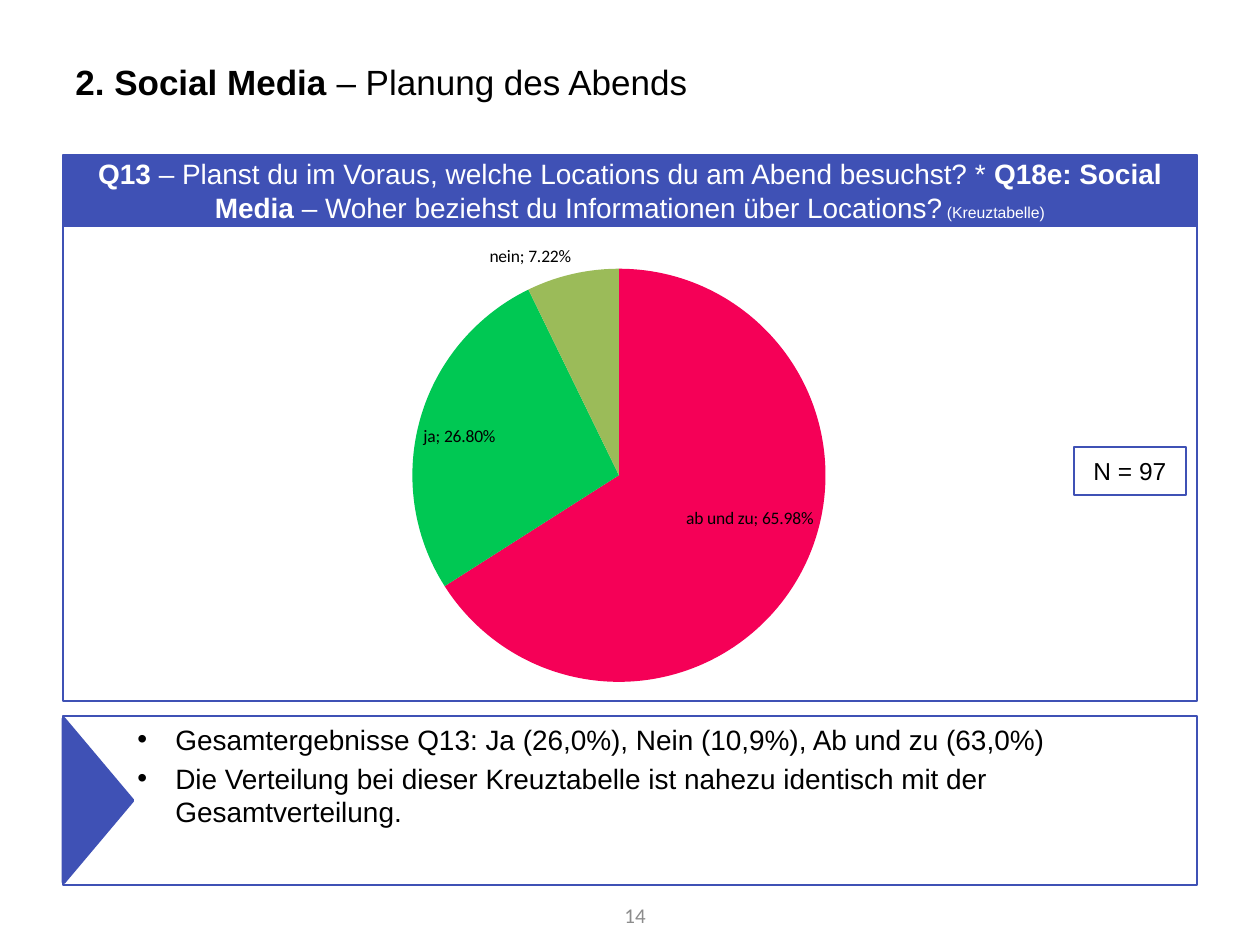
from lxml.etree import SubElement
from pptx import Presentation
from pptx.chart.data import CategoryChartData
from pptx.dml.color import RGBColor
from pptx.enum.chart import XL_CHART_TYPE, XL_LABEL_POSITION
from pptx.enum.shapes import MSO_SHAPE
from pptx.enum.text import MSO_ANCHOR, PP_ALIGN
from pptx.oxml.ns import qn
from pptx.util import Pt

PX = 914400 / 126


def px(n):
    return round(n * PX)


def rgb(value):
    return RGBColor.from_string(value)


class Deck:
    """Holds the style and the current slide."""
    ACCENT, BLACK, WHITE, GREY = "3F51B5", "000000", "FFFFFF", "8C8C8C"
    FONT, SMALL_FONT = "Arial", "Calibri"

    def __init__(self):
        self.prs = Presentation()
        self.prs.slide_width, self.prs.slide_height = px(1260), px(945)
        self.s = self.prs.slides.add_slide(self.prs.slide_layouts[6])

    def shape(self, kind, box, fill=None, line_width=1):
        sp = self.s.shapes.add_shape(kind, *map(px, box))
        sp.shadow.inherit = False
        if fill:
            sp.fill.solid()
            sp.fill.fore_color.rgb = rgb(fill)
        else:
            sp.fill.background()
        sp.line.color.rgb = rgb(self.ACCENT)
        sp.line.width = Pt(line_width)
        return sp

    def text(self, sp, paragraphs, size, color=BLACK, font=FONT,
             align=PP_ALIGN.LEFT, anchor=MSO_ANCHOR.MIDDLE, bullets=False):
        """Each paragraph is a list of runs: (text, bold) or (text, bold, size)."""
        tf = sp.text_frame
        tf.word_wrap = True
        tf.vertical_anchor = anchor
        for i, runs in enumerate(paragraphs):
            p = tf.add_paragraph() if i else tf.paragraphs[0]
            p.alignment = align
            if bullets:
                self.bullet(p, size)
            for words, bold, *own_size in runs:
                r = p.add_run()
                r.text = words
                r.font.name, r.font.bold = font, bold
                r.font.size = Pt(own_size[0] if own_size else size)
                r.font.color.rgb = rgb(color)

    def bullet(self, p, size):
        p.space_before = Pt(size * 0.2)
        pPr = p._p.get_or_add_pPr()
        pPr.set("marL", str(px(100)))
        pPr.set("indent", str(px(-38)))
        SubElement(pPr, qn("a:buFont")).set("typeface", self.FONT)
        SubElement(pPr, qn("a:buChar")).set("char", "•")

    def textbox(self, box, *args, **style):
        self.text(self.s.shapes.add_textbox(*map(px, box)), *args, **style)

    def pie(self, box, values, colors, plot):
        """Draws a pie; plot is x, y, w, h as fractions of the chart."""
        data = CategoryChartData(number_format="0.00%")
        data.categories = list(values)
        data.add_series("Series 1", list(values.values()))
        chart = self.s.shapes.add_chart(XL_CHART_TYPE.PIE, *map(px, box), data).chart
        chart.has_legend = chart.has_title = False
        chart.font.name, chart.font.size = self.SMALL_FONT, Pt(10)
        chart.font.color.rgb = rgb(self.BLACK)
        pie = chart.plots[0]
        pie.vary_by_categories = True
        for i, color in enumerate(colors):
            fill = pie.series[0].points[i].format.fill
            fill.solid()
            fill.fore_color.rgb = rgb(color)
        pie.has_data_labels = True
        labels = pie.data_labels
        labels.show_value = labels.show_category_name = True
        labels.show_percentage = False
        labels.number_format, labels.number_format_is_linked = "0.00%", False
        labels.position = XL_LABEL_POSITION.BEST_FIT
        self.separate(labels, "; ")
        self.place_plot(chart, plot)

    def separate(self, labels, mark):
        tag = qn("c:separator")
        el = labels._element
        sep = SubElement(el, tag)
        sep.text = mark
        el.find(qn("c:showBubbleSize")).addnext(sep)

    def place_plot(self, chart, plot):
        area = chart._chartSpace.chart.plotArea
        layout = area.find(qn("c:layout"))
        if layout is None:
            layout = SubElement(area, qn("c:layout"))
            area.insert(0, layout)
        manual = SubElement(layout, qn("c:manualLayout"))
        settings = [("layoutTarget", "inner"), ("xMode", "edge"), ("yMode", "edge")]
        for name, value in settings + list(zip("xywh", plot)):
            SubElement(manual, qn("c:" + name)).set("val", str(value))


def main():
    d = Deck()
    rect, center = MSO_SHAPE.RECTANGLE, PP_ALIGN.CENTER
    left, width = 63, 1134

    d.textbox((left, 38, width, 87),
              [[("2. Social Media ", True), ("– Planung des Abends", False)]], 20)

    findings = d.shape(rect, (left, 716, width, 169))
    d.text(findings, [
        [("Gesamtergebnisse Q13: Ja (26,0%), Nein (10,9%), Ab und zu (63,0%)", False)],
        [("Die Verteilung bei dieser Kreuztabelle ist nahezu identisch mit der "
          "Gesamtverteilung.", False)],
    ], 16, anchor=MSO_ANCHOR.TOP, bullets=True)
    pointer = d.shape(MSO_SHAPE.ISOSCELES_TRIANGLE, (16, 766, 164, 69), d.ACCENT, 2)
    pointer.rotation = 90

    d.shape(rect, (left, 155, width, 546))
    question = d.shape(rect, (left + 1, 156, width - 2, 69), d.ACCENT, 2)
    d.text(question, [[
        ("Q13 ", True),
        ("– Planst du im Voraus, welche Locations du am Abend besuchst? * ", False),
        ("Q18e: Social Media", True),
        (" – Woher beziehst du Informationen über Locations?", False),
        (" (Kreuztabelle)", False, 9),
    ]], 16, d.WHITE, align=center)

    sample = d.shape(rect, (1074, 447, 112, 48))
    d.text(sample, [[("N = 97", False)]], 14, align=center)
    d.textbox((578, 890, 80, 50), [[("14", False)]], 12, d.GREY, d.SMALL_FONT,
              align=PP_ALIGN.RIGHT)

    d.pie((164, 226, 910, 475),
          {"ab und zu": 0.6598, "ja": 0.268, "nein": 0.0722},
          ["F50057", "00C853", "9BBB59"], (0.27, 0.09, 0.46, 0.87))

    d.prs.save("out.pptx")


if __name__ == "__main__":
    main()
